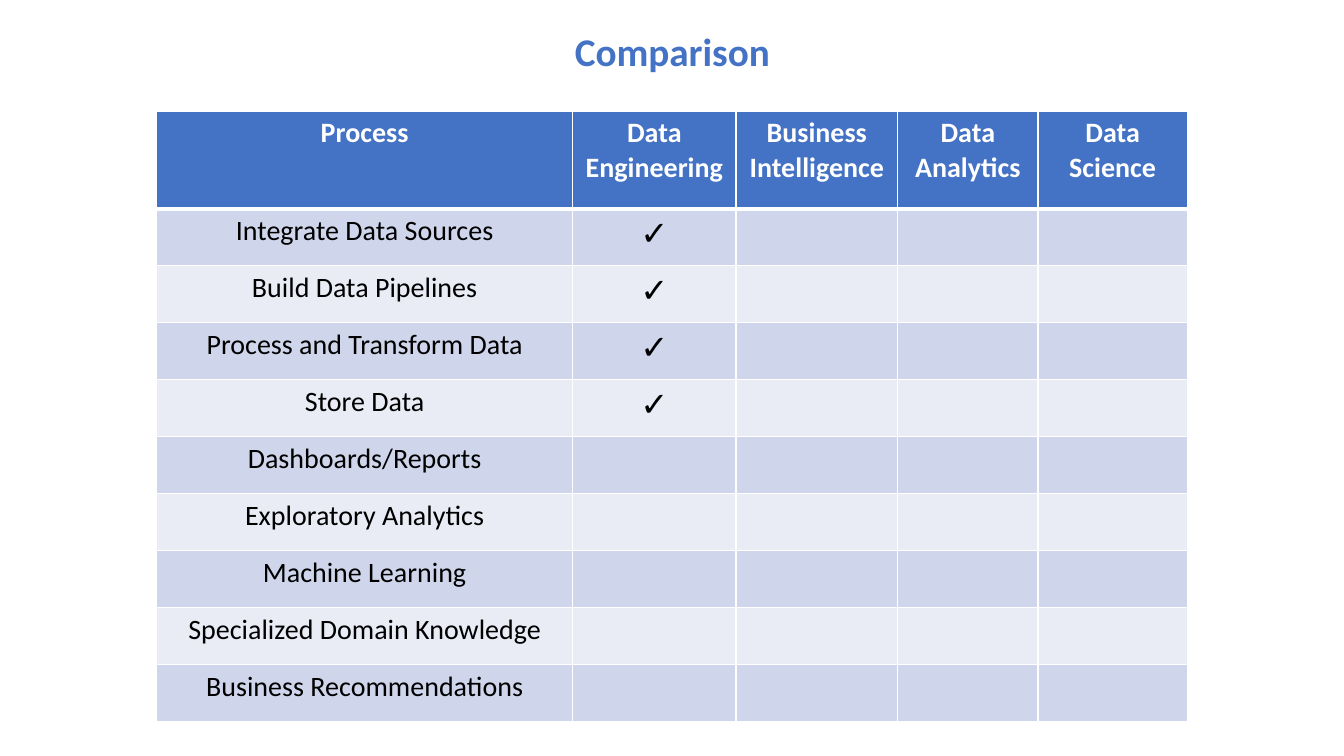
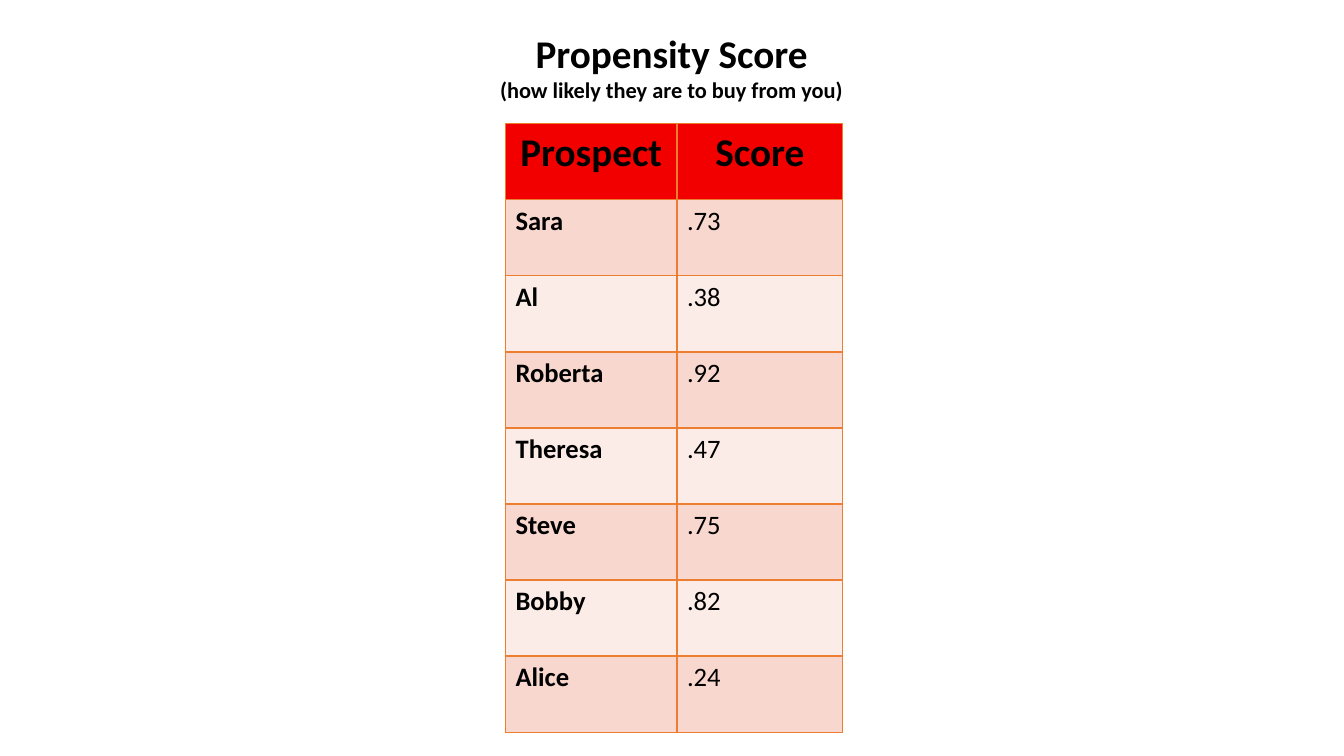
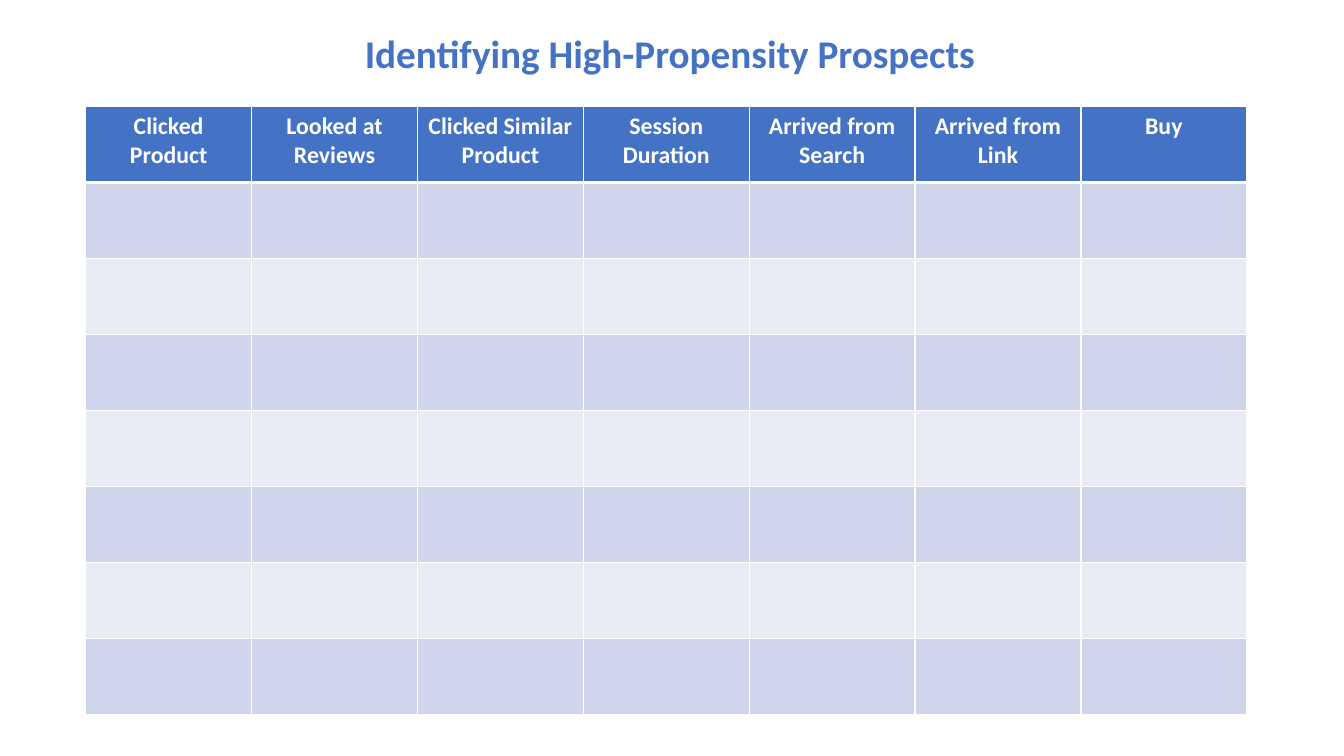
from dataclasses import dataclass

from lxml.etree import SubElement
from pptx import Presentation
from pptx.dml.color import RGBColor
from pptx.enum.text import MSO_ANCHOR, MSO_AUTO_SIZE, PP_ALIGN
from pptx.oxml.ns import qn
from pptx.util import Cm, Pt


@dataclass(frozen=True)
class TableStyle:
    header_fill: str
    header_text: str
    bands: tuple
    border: str
    header_rule: float


@dataclass(frozen=True)
class Theme:
    font: str = "Calibri"
    accent: str = "4472C4"
    text: str = "000000"
    title_size: int = 28
    subtitle_size: int = 16
    check_size: int = 24
    border_width: float = 1
    blue: TableStyle = TableStyle("4472C4", "FFFFFF", ("CFD5EA", "E9EBF5"), "FFFFFF", 3)
    red: TableStyle = TableStyle("F20000", "000000", ("F8D7CE", "FCECE8"), "ED7D31", 1)


THEME = Theme()
CHECK = "✓"


def write_text(paragraph, text, size, color=THEME.text, bold=False, align=PP_ALIGN.CENTER):
    paragraph.alignment = align
    run = paragraph.add_run()
    run.text = text
    run.font.name = THEME.font
    run.font.size = Pt(size)
    run.font.bold = bold
    run.font.color.rgb = RGBColor.from_string(color)


def set_borders(cell, color, widths):
    properties = cell._tc.get_or_add_tcPr()
    for side, width in zip("LRTB", widths):
        line = SubElement(properties, qn(f"a:ln{side}"), w=str(Pt(width)))
        fill = SubElement(line, qn("a:solidFill"))
        SubElement(fill, qn("a:srgbClr"), val=color)


class Deck:
    def __init__(self, theme):
        self.theme = theme
        self.presentation = Presentation()
        self.presentation.slide_width = Cm(33.87)
        self.presentation.slide_height = Cm(19.05)
        self.slide = None

    def add_slide(self):
        title_only = self.presentation.slide_layouts[5]
        self.slide = self.presentation.slides.add_slide(title_only)

    def add_title(self, text, left, top, width, height, color, subtitle=None, align=PP_ALIGN.CENTER):
        title = self.slide.shapes.title
        title.left, title.top, title.width, title.height = map(Cm, (left, top, width, height))
        frame = title.text_frame
        frame.word_wrap = True
        frame.auto_size = MSO_AUTO_SIZE.SHAPE_TO_FIT_TEXT
        frame.vertical_anchor = MSO_ANCHOR.TOP
        write_text(frame.paragraphs[0], text, self.theme.title_size, color, True, align)
        if subtitle:
            write_text(frame.add_paragraph(), subtitle, self.theme.subtitle_size, color, True, align)

    def add_table(self, rows, left, top, widths, height, style, header_size, body_size=18,
                  header_height=None, bold_first=False, body_align=PP_ALIGN.CENTER):
        shape = self.slide.shapes.add_table(
            len(rows), len(widths), Cm(left), Cm(top), Cm(sum(widths)), Cm(height))
        table = shape.table
        table.horz_banding = False
        for column, width in zip(table.columns, widths):
            column.width = Cm(width)
        if header_height:
            body_height = Cm((height - header_height) / (len(rows) - 1))
            for index, row in enumerate(table.rows):
                row.height = body_height if index else Cm(header_height)
        thin = self.theme.border_width
        for row_index, values in enumerate(rows):
            is_header = row_index == 0
            above = style.header_rule if row_index == 1 else thin
            below = style.header_rule if is_header else thin
            fill = style.header_fill if is_header else style.bands[(row_index - 1) % 2]
            for column_index, value in enumerate(values):
                cell = table.cell(row_index, column_index)
                set_borders(cell, style.border, (thin, thin, above, below))
                cell.fill.solid()
                cell.fill.fore_color.rgb = RGBColor.from_string(fill)
                if not value:
                    continue
                paragraph = cell.text_frame.paragraphs[0]
                if is_header:
                    write_text(paragraph, value, header_size, style.header_text, bold=True)
                else:
                    size = self.theme.check_size if value == CHECK else body_size
                    write_text(paragraph, value, size, bold=bold_first and column_index == 0,
                               align=body_align)


def build_comparison(deck):
    deck.add_slide()
    deck.add_title("Comparison", 14.2, 0.56, 5.49, 1.45, deck.theme.accent)
    header = ["Process", "Data Engineering", "Business Intelligence", "Data Analytics", "Data Science"]
    engineering = ["Integrate Data Sources", "Build Data Pipelines",
                   "Process and Transform Data", "Store Data"]
    others = ["Dashboards/Reports", "Exploratory Analytics", "Machine Learning",
              "Specialized Domain Knowledge", "Business Recommendations"]
    rows = [header]
    rows += [[process, CHECK, "", "", ""] for process in engineering]
    rows += [[process, "", "", "", ""] for process in others]
    deck.add_table(rows, 3.95, 2.8, (10.48, 4.12, 4.07, 3.54, 3.76), 15.39, deck.theme.blue,
                   header_size=20, body_size=20, header_height=2.46)


def build_propensity_score(deck):
    deck.add_slide()
    deck.add_title("Propensity Score", 12.29, 0.6, 9.27, 2.13, deck.theme.text,
                   subtitle="(how likely they are to buy from you)")
    rows = [("Prospect", "Score"), ("Sara", ".73"), ("Al", ".38"), ("Roberta", ".92"),
            ("Theresa", ".47"), ("Steve", ".75"), ("Bobby", ".82"), ("Alice", ".24")]
    deck.add_table(rows, 12.74, 3.12, (4.32, 4.18), 15.33, deck.theme.red,
                   header_size=28, body_size=19, bold_first=True, body_align=PP_ALIGN.LEFT)


def build_prospects(deck):
    deck.add_slide()
    deck.add_title("Identifying High-Propensity Prospects", 8.94, 0.6, 15.98, 1.45,
                   deck.theme.accent, align=PP_ALIGN.LEFT)
    header = ["Clicked Product", "Looked at Reviews", "Clicked Similar Product", "Session Duration",
              "Arrived from Search", "Arrived from Link", "Buy"]
    rows = [header] + [[""] * len(header)] * 7
    deck.add_table(rows, 2.16, 2.68, [4.18] * len(header), 15.33, deck.theme.blue, header_size=17)


def main():
    deck = Deck(THEME)
    build_comparison(deck)
    build_propensity_score(deck)
    build_prospects(deck)
    deck.presentation.save("out.pptx")


if __name__ == "__main__":
    main()
